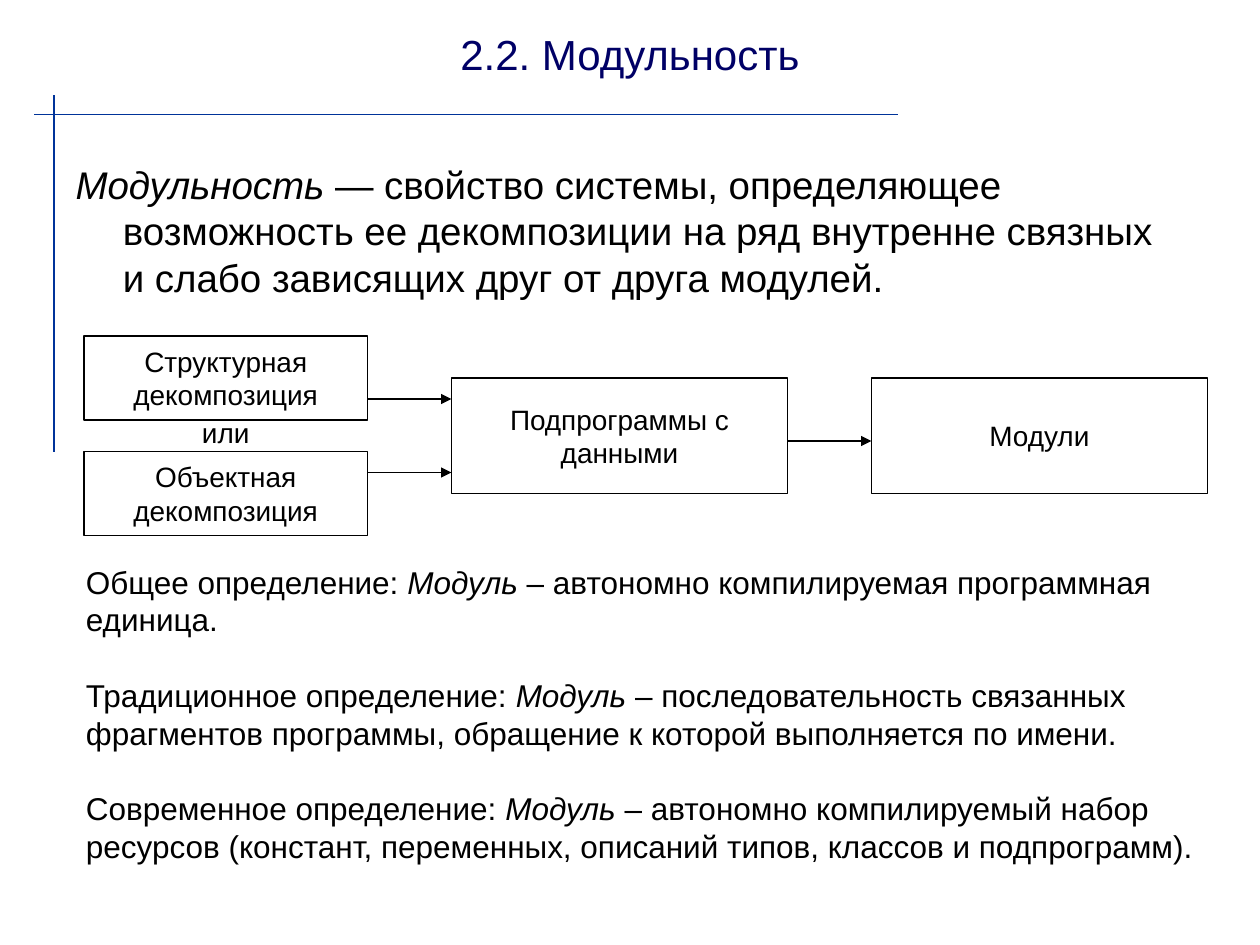
import pptx
import pptx.dml.color
import pptx.enum.shapes
import pptx.enum.text
import pptx.oxml.ns
import pptx.util
import lxml.etree

Pt = pptx.util.Pt
ALIGN = pptx.enum.text.PP_ALIGN
ANCHOR = pptx.enum.text.MSO_ANCHOR
AUTO_SIZE = pptx.enum.text.MSO_AUTO_SIZE

FONT = "Arial"
COLORS = {"rule": "003399", "title": "000066", "text": "000000", "paper": "FFFFFF"}

BODY_TERM = "Модульность"
BODY_TEXT = (" — свойство системы, определяющее возможность ее декомпозиции "
             "на ряд внутренне связных и слабо зависящих друг от друга модулей.")

# Text, left, top, width, height
BOXES = [
    ("Структурная декомпозиция", 48, 192, 162, 48),
    ("Объектная декомпозиция", 48, 258, 162, 48),
    ("Подпрограммы с данными", 258, 216, 192, 66),
    ("Модули", 498, 216, 192, 66),
]
# Start x, end x, y
ARROWS = [(210, 258, 228), (210, 258, 270), (450, 498, 252)]

# Kind of definition, wording
DEFINITIONS = [
    ("Общее", "автономно компилируемая программная единица."),
    ("Традиционное", "последовательность связанных фрагментов программы, "
                     "обращение к которой выполняется по имени."),
    ("Современное", "автономно компилируемый набор ресурсов (констант, "
                    "переменных, описаний типов, классов и подпрограмм)."),
]


def rgb(name):
    return pptx.dml.color.RGBColor.from_string(COLORS[name])


def place(shape, left, top, width, height):
    shape.left, shape.top = Pt(left), Pt(top)
    shape.width, shape.height = Pt(width), Pt(height)


def write_runs(paragraph, parts, size, color="text"):
    """Write (text, italic) parts into a paragraph."""
    for text, italic in parts:
        run = paragraph.add_run()
        run.text = text
        run.font.name = FONT
        run.font.size = Pt(size)
        run.font.italic = italic
        run.font.color.rgb = rgb(color)


def add_title(slide, text):
    title = slide.shapes.title
    place(title, 36, 6, 648, 49.5)
    title.text_frame.auto_size = AUTO_SIZE.NONE
    title.text_frame.vertical_anchor = ANCHOR.MIDDLE
    paragraph = title.text_frame.paragraphs[0]
    paragraph.alignment = ALIGN.CENTER
    write_runs(paragraph, [(text, False)], 24, "title")


def add_body(slide):
    body = slide.placeholders[1]
    place(body, 36, 88.5, 648, 91.5)
    body.text_frame.auto_size = AUTO_SIZE.NONE
    paragraph = body.text_frame.paragraphs[0]
    paragraph.space_before = Pt(5.5)
    write_runs(paragraph, [(BODY_TERM, True), (BODY_TEXT, False)], 22)
    # Hanging indent without a bullet
    properties = paragraph._p.get_or_add_pPr()
    properties.set("marL", str(Pt(27)))
    properties.set("indent", str(Pt(-27)))
    lxml.etree.SubElement(properties, pptx.oxml.ns.qn("a:buNone"))


def add_line(slide, start, end, color, width, arrow=False):
    line = slide.shapes.add_connector(
        pptx.enum.shapes.MSO_CONNECTOR.STRAIGHT, *map(Pt, start + end))
    line.line.color.rgb = rgb(color)
    line.line.width = Pt(width)
    if arrow:
        lxml.etree.SubElement(line.line._get_or_add_ln(),
                              pptx.oxml.ns.qn("a:tailEnd"), type="triangle")
    lxml.etree.SubElement(line._element.spPr, pptx.oxml.ns.qn("a:effectLst"))


def add_rectangle(slide, left, top, width, height):
    shape = slide.shapes.add_shape(
        pptx.enum.shapes.MSO_SHAPE.RECTANGLE, *map(Pt, (left, top, width, height)))
    shape.shadow.inherit = False
    shape.text_frame.word_wrap = True
    return shape


def add_box(slide, text, *bounds):
    box = add_rectangle(slide, *bounds)
    box.fill.background()
    box.line.color.rgb = rgb("text")
    box.line.width = Pt(0.75)
    box.text_frame.vertical_anchor = ANCHOR.MIDDLE
    paragraph = box.text_frame.paragraphs[0]
    paragraph.alignment = ALIGN.CENTER
    write_runs(paragraph, [(text, False)], 16)


def add_label(slide, text, left, top, width, height):
    label = slide.shapes.add_textbox(*map(Pt, (left, top, width, height)))
    label.text_frame.word_wrap = False
    label.text_frame.auto_size = AUTO_SIZE.NONE
    paragraph = label.text_frame.paragraphs[0]
    paragraph.alignment = ALIGN.CENTER
    write_runs(paragraph, [(text, False)], 16)


def add_definitions(slide):
    panel = add_rectangle(slide, 42, 318, 654, 180)
    panel.fill.solid()
    panel.fill.fore_color.rgb = rgb("paper")
    panel.line.fill.background()
    frame = panel.text_frame
    frame.vertical_anchor = ANCHOR.TOP
    for index, (kind, wording) in enumerate(DEFINITIONS):
        paragraph = frame.add_paragraph() if index else frame.paragraphs[0]
        paragraph.alignment = ALIGN.LEFT
        paragraph.space_before = Pt(21.5 if index else 0)
        write_runs(paragraph, [(f"{kind} определение: ", False), ("Модуль", True),
                               (f" – {wording}", False)], 18)


def main():
    presentation = pptx.Presentation()
    presentation.slide_width, presentation.slide_height = Pt(720), Pt(540)
    slide = presentation.slides.add_slide(presentation.slide_layouts[1])

    # Crossed rules in the corner
    add_line(slide, (19.5, 65.5), (513, 65.5), "rule", 1)
    add_line(slide, (31, 54.5), (31, 258.5), "rule", 1)

    # Heading and main definition
    add_title(slide, "2.2. Модульность")
    add_body(slide)

    # Decomposition diagram
    for box in BOXES:
        add_box(slide, *box)
    add_label(slide, "или", 106, 234, 46, 26.5)
    for start, end, y in ARROWS:
        add_line(slide, (start, y), (end, y), "text", 0.75, arrow=True)

    # Definitions of a module
    add_definitions(slide)

    presentation.save("out.pptx")


if __name__ == "__main__":
    main()
